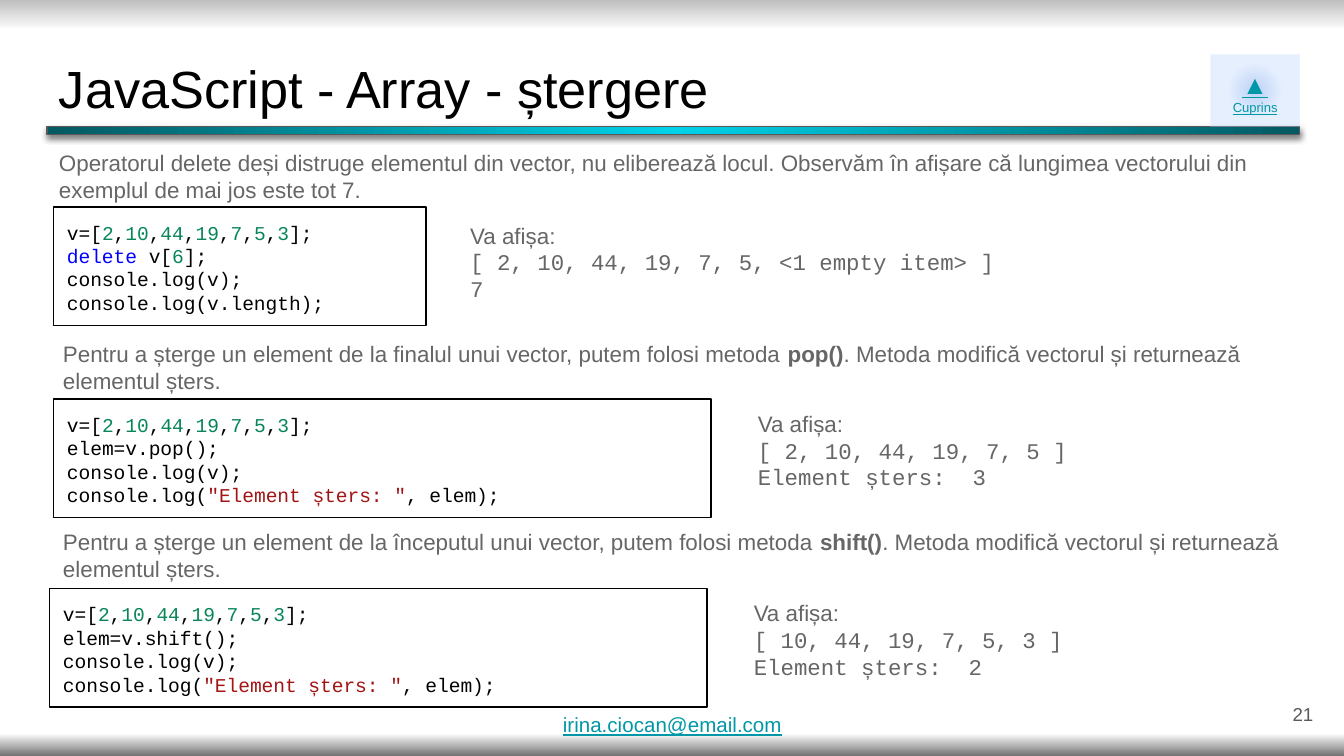
"""Build a slide on deleting elements from JavaScript arrays."""
from itertools import groupby

from pptx import Presentation
from pptx.dml.color import RGBColor
from pptx.enum.shapes import MSO_SHAPE
from pptx.enum.text import MSO_ANCHOR, PP_ALIGN
from pptx.oxml import parse_xml
from pptx.oxml.ns import nsdecls, qn
from pptx.util import Inches, Pt

BLACK = RGBColor(0x00, 0x00, 0x00)
GREY = RGBColor(0x66, 0x66, 0x66)
DARK_GREY = RGBColor(0x59, 0x59, 0x59)
TEAL = RGBColor(0x00, 0x97, 0xA7)
CYAN = RGBColor(0x00, 0xD2, 0xE9)
DEEP_TEAL = RGBColor(0x04, 0x59, 0x62)
PALE_BLUE = RGBColor(0xBC, 0xD6, 0xFF)
BLUE = RGBColor(0x4A, 0x86, 0xE8)
SILVER = RGBColor(0xBF, 0xBF, 0xBF)
WHITE = RGBColor(0xFF, 0xFF, 0xFF)
SMOKE = RGBColor(0x73, 0x73, 0x73)
NUMBER = RGBColor(0x09, 0x86, 0x58)
STRING = RGBColor(0xA3, 0x15, 0x15)
KEYWORD = RGBColor(0x00, 0x00, 0xFF)

SANS, MONO = "Arial", "Courier New"
RADIAL = ('<a:path path="circle"><a:fillToRect l="50000" t="50000" '
          'r="50000" b="50000"/></a:path>')
VERTICAL = '<a:lin ang="5400000" scaled="0"/>'
ARRAY = "v=[2,10,44,19,7,5,3];"
PRINT_DELETED = 'console.log("Element șters: ", elem);'

SECTIONS = [
    {
        "intro": "Operatorul delete deși distruge elementul din vector, nu eliberează locul. "
                 "Observăm în afișare că lungimea vectorului din exemplul de mai jos este tot 7.",
        "intro_at": (0.34, 1.01, 9.28, 0.53),
        "code": [ARRAY, "delete v[6];", "console.log(v);", "console.log(v.length);"],
        "code_at": (0.4, 1.54, 2.77, 0.88),
        "output": ["[ 2, 10, 44, 19, 7, 5, <1 empty item> ]", "7"],
        "output_at": (3.4, 1.55, 9.28, 0.77),
    },
    {
        "intro": "Pentru a șterge un element de la finalul unui vector, putem folosi metoda "
                 "**pop()**. Metoda modifică vectorul și returnează elementul șters.",
        "intro_at": (0.37, 2.43, 9.28, 0.53),
        "code": [ARRAY, "elem=v.pop();", "console.log(v);", PRINT_DELETED],
        "code_at": (0.4, 2.97, 4.89, 0.88),
        "output": ["[ 2, 10, 44, 19, 7, 5 ]", "Element șters:  3"],
        "output_at": (5.54, 2.95, 3.72, 0.77),
    },
    {
        "intro": "Pentru a șterge un element de la începutul unui vector, putem folosi metoda "
                 "**shift()**. Metoda modifică vectorul și returnează elementul șters.",
        "intro_at": (0.37, 3.83, 9.28, 0.53),
        "code": [ARRAY, "elem=v.shift();", "console.log(v);", PRINT_DELETED],
        "code_at": (0.37, 4.38, 4.89, 0.88),
        "output": ["[ 10, 44, 19, 7, 5, 3 ]", "Element șters:  2"],
        "output_at": (5.51, 4.36, 3.75, 0.77),
    },
]


def set_gradient(properties, stops, direction):
    """Replace the gradient of a shape or background with the given stops."""
    stop_xml = "".join(
        f'<a:gs pos="{position * 1000}"><a:srgbClr val="{color}">'
        f'<a:alpha val="{alpha * 1000}"/></a:srgbClr></a:gs>'
        for position, color, alpha in stops)
    gradient = parse_xml(f'<a:gradFill {nsdecls("a")} rotWithShape="1">'
                         f'<a:gsLst>{stop_xml}</a:gsLst>{direction}</a:gradFill>')
    properties.replace(properties.find(qn("a:gradFill")), gradient)


def prepare_frame(shape, anchor=MSO_ANCHOR.TOP, margin=0.1):
    """Set wrapping, anchor and margins, and return the text frame."""
    frame = shape.text_frame
    frame.word_wrap = True
    frame.vertical_anchor = anchor
    frame.margin_left = frame.margin_right = Inches(0.1)
    frame.margin_top = frame.margin_bottom = Inches(margin)
    return frame


def add_line(frame, runs, size, color, face=SANS, align=PP_ALIGN.LEFT, underline=None):
    """Add a paragraph and return its runs."""
    first = frame.paragraphs[0]
    paragraph = frame.add_paragraph() if first.runs else first
    paragraph.alignment = align
    font = paragraph.font
    font.size, font.name, font.underline = Pt(size), face, underline
    if color is not None:
        font.color.rgb = color
    added = []
    for text in runs:
        run = paragraph.add_run()
        run.text = text
        added.append(run)
    return added


def add_text(slide, at, text, size, color, anchor=MSO_ANCHOR.TOP, margin=0.1, **style):
    """Add a text box with one line of text."""
    box = slide.shapes.add_textbox(*map(Inches, at))
    add_line(prepare_frame(box, anchor, margin), [text], size, color, **style)


def add_rectangle(slide, at):
    """Add a rectangle without a shadow."""
    rectangle = slide.shapes.add_shape(MSO_SHAPE.RECTANGLE, *map(Inches, at))
    rectangle.shadow.inherit = False
    return rectangle


def add_title_bar(slide):
    """Add the glowing bar under the title."""
    bar = add_rectangle(slide, (0.35, 0.94, 9.32, 0.06))
    bar.fill.gradient()
    properties = bar._element.spPr
    set_gradient(properties, [(0, CYAN, 100), (100, DEEP_TEAL, 100)], RADIAL)
    bar.line.color.rgb = DARK_GREY
    bar.line.width = Pt(0.75)
    properties.find(qn("a:effectLst")).append(parse_xml(
        f'<a:outerShdw {nsdecls("a")} blurRad="{Pt(3.4)}" dist="{Pt(1.5)}" dir="5400000" '
        f'algn="bl" rotWithShape="0"><a:srgbClr val="{BLACK}">'
        '<a:alpha val="50000"/></a:srgbClr></a:outerShdw>'))


def add_contents_button(slide):
    """Add the button that points back to the contents."""
    button = add_rectangle(slide, (9.01, 0.41, 0.66, 0.53))
    button.fill.gradient()
    set_gradient(button._element.spPr,
                 [(0, PALE_BLUE, 37), (0, BLUE, 37), (48, PALE_BLUE, 37), (100, PALE_BLUE, 37)],
                 RADIAL)
    button.line.fill.background()
    frame = prepare_frame(button)
    for text, size in (("▲", 14), ("Cuprins", 7)):
        add_line(frame, [text], size, TEAL, align=PP_ALIGN.CENTER, underline=True)


def highlight(line):
    """Split a line of code into (text, colour) pieces."""
    tokens = []
    for index, part in enumerate(line.split('"')):
        if index % 2:
            tokens.append((f'"{part}"', STRING))
            continue
        for _, letters in groupby(part, str.isalnum):
            token = "".join(letters)
            color = NUMBER if token.isdigit() else KEYWORD if token == "delete" else BLACK
            tokens.append((token, color))
    return [("".join(token for token, _ in group), color)
            for color, group in groupby(tokens, lambda token: token[1])]


def add_code(slide, at, lines):
    """Add a framed block of highlighted code."""
    block = add_rectangle(slide, at)
    block.fill.background()
    block.line.color.rgb = BLACK
    block.line.width = Pt(0.75)
    frame = prepare_frame(block)
    for line in lines:
        pieces = highlight(line)
        runs = add_line(frame, [text for text, _ in pieces], 10.5, None, MONO)
        for run, (_, color) in zip(runs, pieces):
            run.font.color.rgb = color


def add_intro(slide, at, text):
    """Add an explanation whose ** marks enclose bold words."""
    frame = prepare_frame(slide.shapes.add_textbox(*map(Inches, at)))
    for run in add_line(frame, text.split("**"), 12, GREY)[1::2]:
        run.font.bold = True


def add_output(slide, at, lines):
    """Add what the code prints."""
    frame = prepare_frame(slide.shapes.add_textbox(*map(Inches, at)))
    add_line(frame, ["Va afișa:"], 12, GREY)
    for line in lines:
        add_line(frame, [line], 12, GREY, MONO)


def main():
    """Build and save the slide."""
    deck = Presentation()
    deck.slide_width = Inches(10)
    deck.slide_height = deck.slide_width * 9 // 16
    slide = deck.slides.add_slide(deck.slide_layouts[6])
    slide.background.fill.gradient()
    set_gradient(slide._element.find(".//" + qn("p:bgPr")),
                 [(0, SILVER, 100), (4, WHITE, 100), (97, WHITE, 100), (100, SMOKE, 100)],
                 VERTICAL)
    add_text(slide, (0.34, 0.32, 9.32, 0.63), "JavaScript - Array - ștergere", 28, BLACK)
    add_title_bar(slide)
    add_text(slide, (9.27, 5.1, 0.6, 0.43), "21", 10, DARK_GREY,
             anchor=MSO_ANCHOR.MIDDLE, align=PP_ALIGN.RIGHT)
    add_contents_button(slide)
    add_text(slide, (4.09, 5.3, 1.84, 0.27), "irina.ciocan@email.com", 11, TEAL,
             margin=0, underline=True)
    for section in SECTIONS:
        add_intro(slide, section["intro_at"], section["intro"])
        add_code(slide, section["code_at"], section["code"])
        add_output(slide, section["output_at"], section["output"])
    deck.save("out.pptx")


if __name__ == "__main__":
    main()
